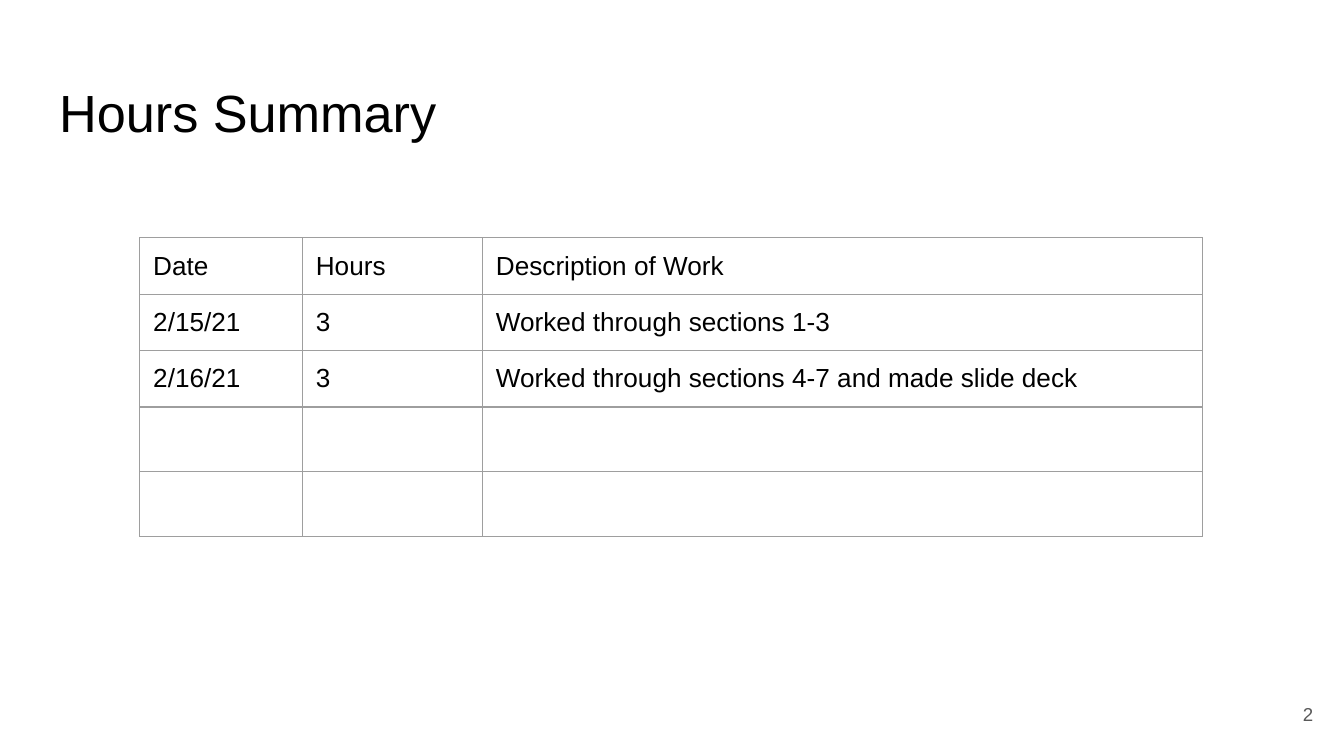
from pptx import Presentation
from pptx.dml.color import RGBColor
from pptx.enum.text import MSO_ANCHOR as Anchor, MSO_AUTO_SIZE as AutoSize, PP_ALIGN as Align
from pptx.oxml import parse_xml
from pptx.oxml.ns import nsdecls
from pptx.util import Inches, Pt

BLACK = RGBColor(0x00, 0x00, 0x00)
GREY = RGBColor(0x59, 0x59, 0x59)
BORDER = RGBColor(0x9E, 0x9E, 0x9E)
WHITE = RGBColor(0xFF, 0xFF, 0xFF)
FONT = "Arial"
INSET = Inches(0.1)
COLS = (1.21, 1.34, 5.36)
ROW_HEIGHT = 0.42
ROWS = (
    ("Date", "Hours", "Description of Work"),
    ("2/15/21", "3", "Worked through sections 1-3"),
    ("2/16/21", "3", "Worked through sections 4-7 and made slide deck"),
    ("", "", ""),
    ("", "", ""),
)


def add_run(p, text, size, color):
    r = p.add_run()
    r.text = text
    r.font.name = FONT
    r.font.size = Pt(size)
    r.font.color.rgb = color


def set_insets(frame):
    frame.margin_left = frame.margin_right = INSET
    frame.margin_top = frame.margin_bottom = INSET


def fill_text(shape, text, size, color, align, anchor):
    tf = shape.text_frame
    tf.word_wrap = True
    tf.auto_size = AutoSize.NONE
    tf.vertical_anchor = anchor
    set_insets(tf)
    p = tf.paragraphs[0]
    p.alignment = align
    add_run(p, text, size, color)


def add_title(s, text):
    title = s.shapes.title
    title.left, title.top = Inches(0.34), Inches(0.5)
    title.width, title.height = Inches(9.32), Inches(0.63)
    fill_text(title, text, 28, BLACK, Align.LEFT, Anchor.TOP)


def add_borders(cell):
    tc_pr = cell._tc.get_or_add_tcPr()
    for i, side in enumerate(("lnL", "lnR", "lnT", "lnB")):
        tc_pr.insert(i, parse_xml(
            f'<a:{side} {nsdecls("a")} w="{Pt(0.75)}"><a:solidFill>'
            f'<a:srgbClr val="{BORDER}"/></a:solidFill></a:{side}>'))


def set_empty_font(p):
    p._p.append(parse_xml(
        f'<a:endParaRPr {nsdecls("a")} sz="1800"><a:latin typeface="{FONT}"/></a:endParaRPr>'))


def add_hours_table(s):
    table = s.shapes.add_table(
        len(ROWS), len(COLS), Inches(1.04), Inches(1.77),
        Inches(sum(COLS)), Inches(ROW_HEIGHT * len(ROWS))).table
    table.first_row = table.horz_banding = False
    for col, width in zip(table.columns, COLS):
        col.width = Inches(width)
    for row, texts in zip(table.rows, ROWS):
        row.height = Inches(ROW_HEIGHT)
        for cell, text in zip(row.cells, texts):
            set_insets(cell)
            cell.fill.background()
            add_borders(cell)
            p = cell.text_frame.paragraphs[0]
            if text:
                add_run(p, text, 14, BLACK)
            else:
                set_empty_font(p)


def add_page_number(s, number):
    box = s.shapes.add_textbox(Inches(9.27), Inches(5.1), Inches(0.6), Inches(0.43))
    fill_text(box, number, 10, GREY, Align.RIGHT, Anchor.MIDDLE)


def main():
    prs = Presentation()
    prs.slide_width = Inches(10)
    prs.slide_height = prs.slide_width * 9 // 16
    s = prs.slides.add_slide(prs.slide_layouts[5])
    s.background.fill.solid()
    s.background.fill.fore_color.rgb = WHITE
    add_title(s, "Hours Summary")
    add_hours_table(s)
    add_page_number(s, "2")
    prs.save("out.pptx")


main()
